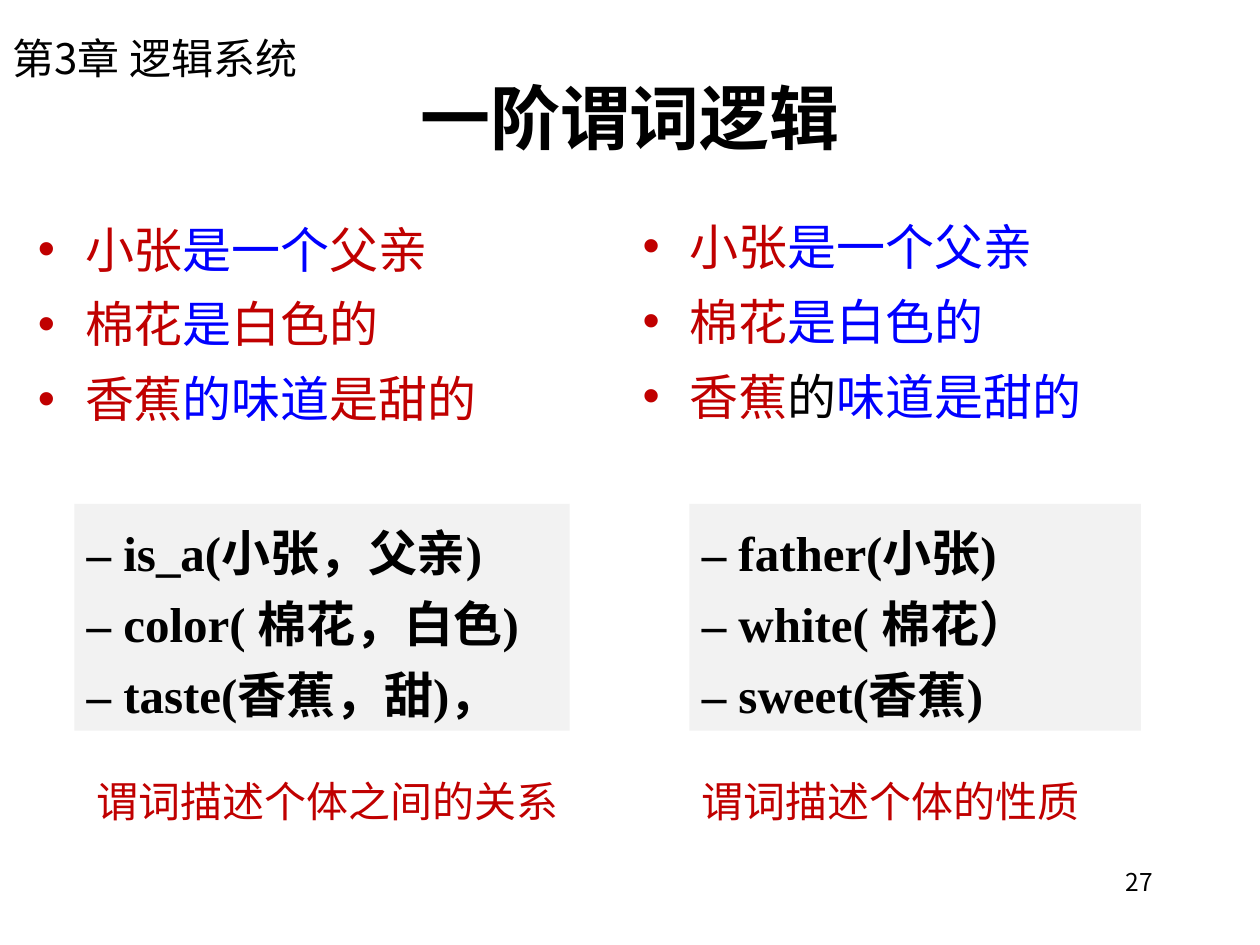
from pptx import Presentation
from pptx.dml.color import RGBColor
from pptx.enum.shapes import MSO_SHAPE
from pptx.enum.text import MSO_ANCHOR, MSO_AUTO_SIZE, PP_ALIGN
from pptx.oxml.ns import qn
from pptx.util import Pt
from lxml.etree import SubElement

RED, BLUE, BLACK, GREY = "C00000", "0000FF", "000000", "F2F2F2"
SANS, SERIF = "Noto Sans CJK SC", "Times New Roman"

CHAPTER = "第3章 逻辑系统"
TITLE = "一阶谓词逻辑"
PAGE_NUMBER = "27"
COLUMNS = [
    {
        "facts": [
            [("小张", RED), ("是一个", BLUE), ("父亲", RED)],
            [("棉花", RED), ("是", BLUE), ("白色的", RED)],
            [("香蕉", RED), ("的味道", BLUE), ("是甜的", RED)],
        ],
        "facts_box": (14.4, 118, 319, 142),
        "predicates": ["– is_a(小张，父亲)", "– color( 棉花，白色)", "– taste(香蕉，甜)，"],
        "predicates_box": (42.5, 288, 283, 129.5),
        "caption": "谓词描述个体之间的关系",
        "caption_box": (48.2, 440, 279, 36),
    },
    {
        "facts": [
            [("小张", RED), ("是一个父亲", BLUE)],
            [("棉花", RED), ("是白色的", BLUE)],
            [("香蕉", RED), ("的", BLACK), ("味道是甜的", BLUE)],
        ],
        "facts_box": (360, 116.6, 319, 142),
        "predicates": ["– father(小张)", "– white( 棉花）", "– sweet(香蕉)"],
        "predicates_box": (394, 288, 258, 129.5),
        "caption": "谓词描述个体的性质",
        "caption_box": (394, 440, 230, 36),
    },
]


def color(value):
    return RGBColor.from_string(value)


def place(shape, box):
    shape.left, shape.top, shape.width, shape.height = map(Pt, box)


def write(shape, paragraphs, size=28, font=SERIF, ink=BLACK, bold=False, align=PP_ALIGN.LEFT,
          anchor=MSO_ANCHOR.TOP, line=None, gap=0, bullet=False, wrap=True):
    """Fill a shape with paragraphs, each a string or a list of (text, color) runs."""
    frame = shape.text_frame
    frame.word_wrap = wrap
    frame.auto_size = MSO_AUTO_SIZE.NONE
    frame.vertical_anchor = anchor
    for index, content in enumerate(paragraphs):
        paragraph = frame.add_paragraph() if index else frame.paragraphs[0]
        paragraph.alignment = align
        paragraph.space_before = Pt(gap if index else 0)
        if line:
            paragraph.line_spacing = Pt(line)
        if bullet:
            properties = paragraph._p.get_or_add_pPr()
            properties.set("marL", str(Pt(27)))
            properties.set("indent", str(Pt(-27)))
            SubElement(properties, qn("a:buChar"), char="•")
        runs = [(content, ink)] if isinstance(content, str) else content
        for text, run_color in runs:
            run = paragraph.add_run()
            run.text = text
            run.font.size = Pt(size)
            run.font.bold = bold
            run.font.name = font
            run.font.color.rgb = color(run_color)
            east_asian = font if font != SERIF else SANS
            SubElement(run._r.get_or_add_rPr(), qn("a:ea"), typeface=east_asian)


def add_text(slide, box, text, **style):
    shape = slide.shapes.add_textbox(*map(Pt, box))
    write(shape, [text], **style)


def add_panel(slide, box, lines):
    panel = slide.shapes.add_shape(MSO_SHAPE.RECTANGLE, *map(Pt, box))
    panel.shadow.inherit = False
    panel.fill.solid()
    panel.fill.fore_color.rgb = color(GREY)
    panel.line.fill.background()
    write(panel, lines, bold=True, line=40.6)


def main():
    presentation = Presentation()
    presentation.slide_width, presentation.slide_height = Pt(720), Pt(540)
    slide = presentation.slides.add_slide(presentation.slide_layouts[3])
    title, *bodies = slide.placeholders

    place(title, (54, 37.5, 612, 57.6))
    write(title, [TITLE], size=40, font=SANS, bold=True, align=PP_ALIGN.CENTER,
          anchor=MSO_ANCHOR.MIDDLE)
    add_text(slide, (0, 15, 184, 36), CHAPTER, size=24, font=SANS, line=28.6)

    for body, column in zip(bodies, COLUMNS):
        place(body, column["facts_box"])
        write(body, column["facts"], line=37.2, gap=5.6, bullet=True)
        add_panel(slide, column["predicates_box"], column["predicates"])
        add_text(slide, column["caption_box"], column["caption"], size=24, ink=RED,
                 line=28.6, wrap=False)

    add_text(slide, (516, 492, 150, 36), PAGE_NUMBER, size=14, font="Noto Sans CJK KR",
             align=PP_ALIGN.RIGHT)
    presentation.save("out.pptx")


if __name__ == "__main__":
    main()
